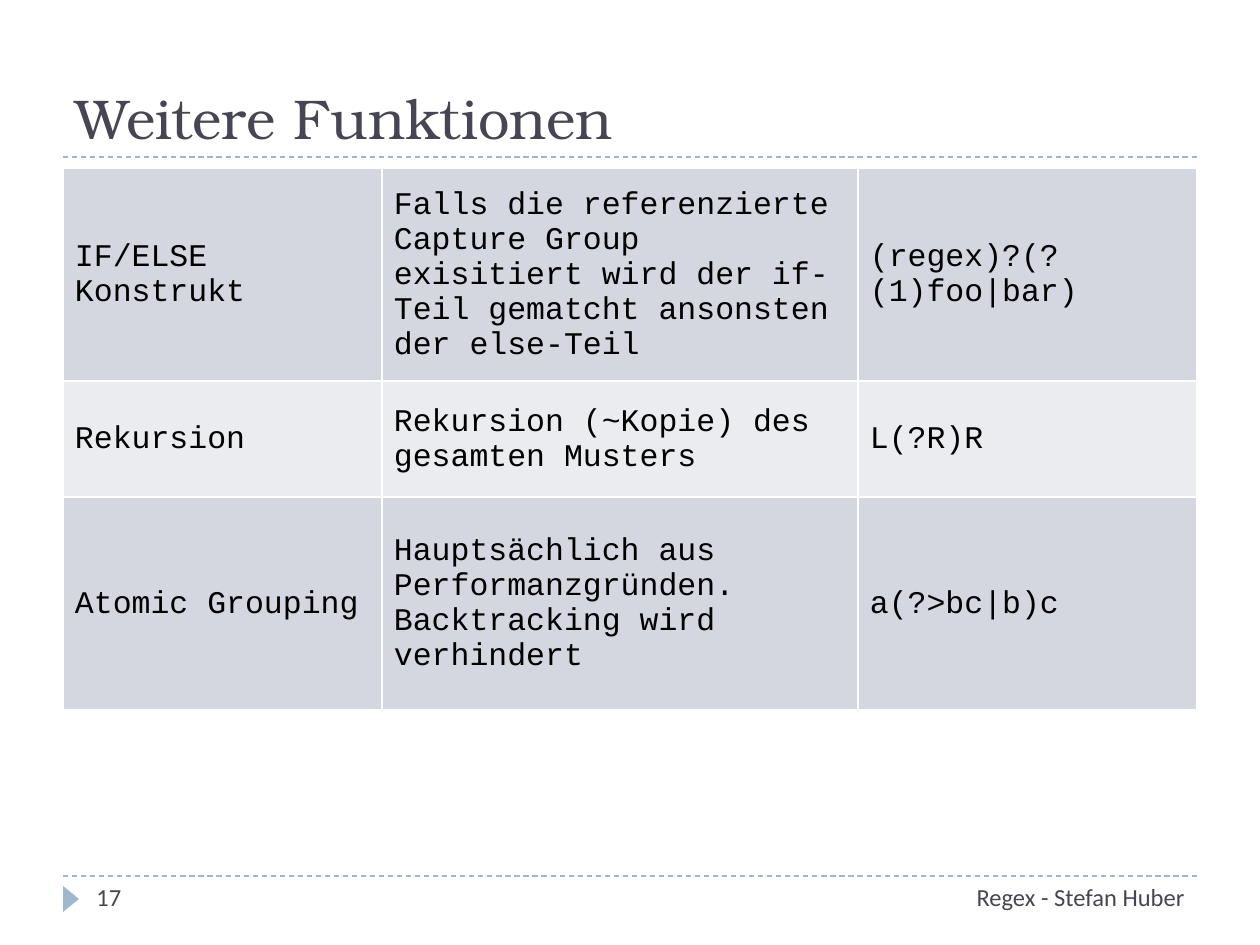
from lxml import etree
from pptx import Presentation
from pptx.dml.color import RGBColor
from pptx.enum.dml import MSO_LINE
from pptx.enum.shapes import MSO_CONNECTOR, MSO_SHAPE
from pptx.enum.text import MSO_ANCHOR, MSO_AUTO_SIZE, PP_ALIGN
from pptx.oxml.ns import qn
from pptx.util import Pt

STRAIGHT = MSO_CONNECTOR.STRAIGHT
TRIANGLE = MSO_SHAPE.ISOSCELES_TRIANGLE
DASH = MSO_LINE.DASH
LEFT, RIGHT = PP_ALIGN.LEFT, PP_ALIGN.RIGHT
MIDDLE, BOTTOM = MSO_ANCHOR.MIDDLE, MSO_ANCHOR.BOTTOM

INK = RGBColor(0x46, 0x46, 0x53)
ACCENT = RGBColor(0x9F, 0xB8, 0xCD)
BLACK = RGBColor(0, 0, 0)
BANDS = [RGBColor(0xD5, 0xD7, 0xE0), RGBColor(0xEB, 0xEC, 0xF0)]
BORDER = "FFFFFF"

PX_PER_INCH = 126
COLS = [319, 476, 339]
ROWS = [213, 116, 213]
FUNCTIONS = [
    ["IF/ELSE Konstrukt",
     "Falls die referenzierte Capture Group exisitiert wird der if-Teil "
     "gematcht ansonsten der else-Teil",
     "(regex)?(?(1)foo|bar)"],
    ["Rekursion", "Rekursion (~Kopie) des gesamten Musters", "L(?R)R"],
    ["Atomic Grouping",
     "Hauptsächlich aus Performanzgründen. Backtracking wird verhindert",
     "a(?>bc|b)c"],
]


def px(n):
    return round(n * 914400 / PX_PER_INCH)


def style(p, font, size, color, align=LEFT):
    p.alignment = align
    p.font.name = font
    p.font.size = Pt(size)
    p.font.color.rgb = color


def add_rule(s, x, y, w):
    line = s.shapes.add_connector(STRAIGHT, px(x), px(y), px(x + w), px(y))
    line.line.color.rgb = ACCENT
    line.line.width = Pt(0.75)
    line.line.dash_style = DASH
    etree.SubElement(line.element.spPr, qn("a:effectLst"))


def add_header(s, x, y, w, h, text):
    # Title resting on a dashed rule
    add_rule(s, x, y + h, w)
    title = s.shapes.title
    title.left, title.top, title.width, title.height = map(px, (x, y, w, h))
    tf = title.text_frame
    tf.text = text
    tf.auto_size = MSO_AUTO_SIZE.NONE
    tf.vertical_anchor = BOTTOM
    style(tf.paragraphs[0], "TeX Gyre Bonum", 32, INK)


def set_borders(cell):
    tcPr = cell._tc.get_or_add_tcPr()
    for i, side in enumerate(("lnL", "lnR", "lnT", "lnB")):
        ln = etree.Element(qn(f"a:{side}"), w=str(Pt(1)))
        fill = etree.SubElement(ln, qn("a:solidFill"))
        etree.SubElement(fill, qn("a:srgbClr"), val=BORDER)
        tcPr.insert(i, ln)  # borders come before the fill


def add_function_table(s, x, y):
    frame = s.shapes.add_table(len(ROWS), len(COLS), px(x), px(y),
                               px(sum(COLS)), px(sum(ROWS)))
    table = frame.table
    table.first_row = table.horz_banding = False
    for col, w in zip(table.columns, COLS):
        col.width = px(w)
    for r, h in enumerate(ROWS):
        table.rows[r].height = px(h)
        for c, text in enumerate(FUNCTIONS[r]):
            cell = table.cell(r, c)
            cell.text = text
            cell.vertical_anchor = MIDDLE
            cell.margin_left = cell.margin_right = px(12)
            cell.margin_top, cell.margin_bottom = px(8), px(6)
            cell.fill.solid()
            cell.fill.fore_color.rgb = BANDS[r % 2]
            set_borders(cell)
            p = cell.text_frame.paragraphs[0]
            p.line_spacing = 0.98
            style(p, "Courier New", 18, BLACK)


def add_footer(s, x, y, w, h, number, text):
    add_rule(s, x, y, w)

    # Page marker
    marker = s.shapes.add_shape(TRIANGLE, px(x - 5), px(y + 15), px(26), px(16))
    marker.rotation = 90
    marker.shadow.inherit = False
    marker.fill.solid()
    marker.fill.fore_color.rgb = ACCENT
    marker.line.fill.background()

    # Page number on the left, author on the right
    for left, width, label, align in ((x + 21, 273, number, LEFT),
                                      (x + w - 315, 315, text, RIGHT)):
        tf = s.shapes.add_textbox(px(left), px(y), px(width), px(h)).text_frame
        tf.word_wrap = True
        tf.text = label
        style(tf.paragraphs[0], "Calibri", 14, INK, align)


def main():
    prs = Presentation()
    prs.slide_width, prs.slide_height = px(1260), px(945)
    s = prs.slides.add_slide(prs.slide_layouts[5])
    add_header(s, 63, 21, 1134, 136, "Weitere Funktionen")
    add_function_table(s, 63, 168)
    add_footer(s, 63, 876, 1134, 50, "17", "Regex - Stefan Huber")
    prs.save("out.pptx")


if __name__ == "__main__":
    main()
